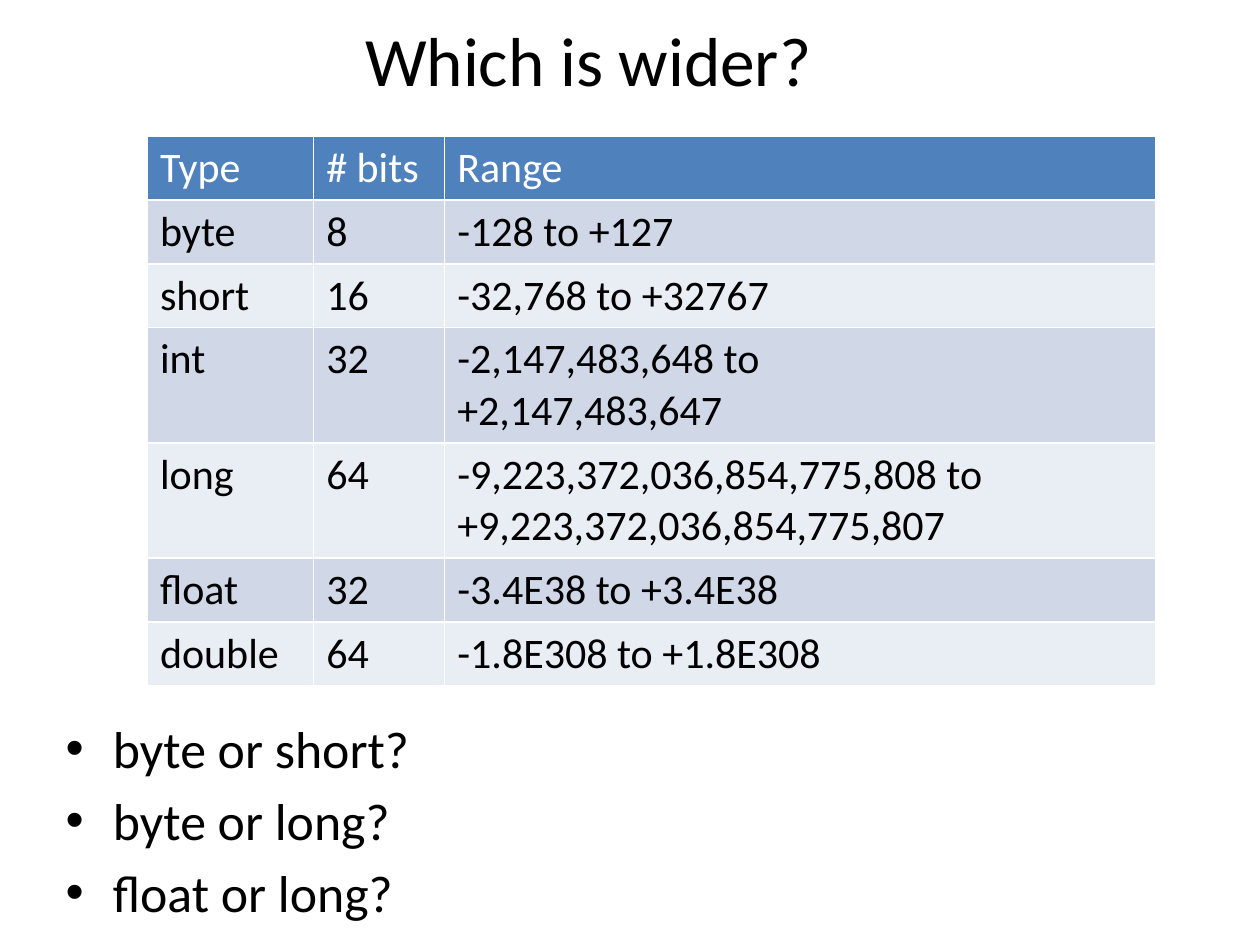
"""Build the slide that compares the widths of the primitive number types."""
from dataclasses import dataclass

from lxml.etree import SubElement
from pptx import Presentation
from pptx.dml.color import RGBColor
from pptx.enum.text import MSO_ANCHOR, MSO_AUTO_SIZE, PP_ALIGN
from pptx.oxml.ns import qn
from pptx.util import Inches, Pt


@dataclass(frozen=True)
class Theme:
    font: str = "Calibri"
    ink: str = "000000"
    paper: str = "FFFFFF"
    header: str = "4F81BD"
    bands: tuple = ("E9EDF4", "D0D8E8")
    title_size: float = 39.6
    body_size: float = 29.6
    table_size: float = 24
    bullet_gap: float = 5.5
    border: float = 1


theme = Theme()
presentation = Presentation()
presentation.slide_width, presentation.slide_height = Inches(10), Inches(7.5)
column_unit = presentation.slide_width / 100
row_unit = presentation.slide_height / 75


def grid_box(left, top, width, height):
    return (int(left * column_unit), int(top * row_unit),
            int(width * column_unit), int(height * row_unit))


def write(paragraph, text, size, color):
    run = paragraph.add_run()
    run.text = text
    run.font.name = theme.font
    run.font.size = Pt(size)
    run.font.bold = False
    run.font.color.rgb = RGBColor.from_string(color)


slide = presentation.slides.add_slide(presentation.slide_layouts[1])
title, body = slide.shapes.title, slide.placeholders[1]

title.left, title.top, title.width, title.height = grid_box(1.7, 1, 90, 7.3)
title.text_frame.auto_size = MSO_AUTO_SIZE.NONE
title.text_frame.vertical_anchor = MSO_ANCHOR.MIDDLE
heading = title.text_frame.paragraphs[0]
heading.alignment = PP_ALIGN.CENTER
write(heading, "Which is wider?", theme.title_size, theme.ink)

body.left, body.top, body.width, body.height = grid_box(4.2, 56.4, 90, 15.7)
body.text_frame.auto_size = MSO_AUTO_SIZE.NONE
questions = ["byte or short?", "byte or long?", "float or long?"]
for index, question in enumerate(questions):
    paragraph = body.text_frame.add_paragraph() if index else body.text_frame.paragraphs[0]
    paragraph.space_before = Pt(theme.bullet_gap if index else 0)
    write(paragraph, question, theme.body_size, theme.ink)

number_types = [
    ("Type", "# bits", "Range"),
    ("byte", "8", "-128 to +127"),
    ("short", "16", "-32,768 to +32767"),
    ("int", "32", "-2,147,483,648 to\n+2,147,483,647"),
    ("long", "64", "-9,223,372,036,854,775,808 to\n+9,223,372,036,854,775,807"),
    ("float", "32", "-3.4E38 to +3.4E38"),
    ("double", "64", "-1.8E308 to +1.8E308"),
]
column_widths = [13.2, 10.4, 56.4]
line_height, cell_padding = 4.05, 1
row_heights = [line_height * len(row[-1].split("\n")) + cell_padding for row in number_types]
table = slide.shapes.add_table(
    len(number_types), len(column_widths),
    *grid_box(11.7, 10.8, sum(column_widths), sum(row_heights))).table
for column, width in zip(table.columns, column_widths):
    column.width = int(width * column_unit)

for row_index, values in enumerate(number_types):
    table.rows[row_index].height = int(row_heights[row_index] * row_unit)
    fill_color = theme.bands[row_index % 2] if row_index else theme.header
    text_color = theme.ink if row_index else theme.paper
    for column_index, value in enumerate(values):
        cell = table.cell(row_index, column_index)
        properties = cell._tc.get_or_add_tcPr()
        for side in ("lnL", "lnR", "lnT", "lnB"):
            line = SubElement(properties, qn(f"a:{side}"), w=str(Pt(theme.border)))
            SubElement(SubElement(line, qn("a:solidFill")), qn("a:srgbClr"), val=theme.paper)
        cell.fill.solid()
        cell.fill.fore_color.rgb = RGBColor.from_string(fill_color)
        for line_index, text in enumerate(value.split("\n")):
            frame = cell.text_frame
            paragraph = frame.add_paragraph() if line_index else frame.paragraphs[0]
            write(paragraph, text, theme.table_size, text_color)

presentation.save("out.pptx")
